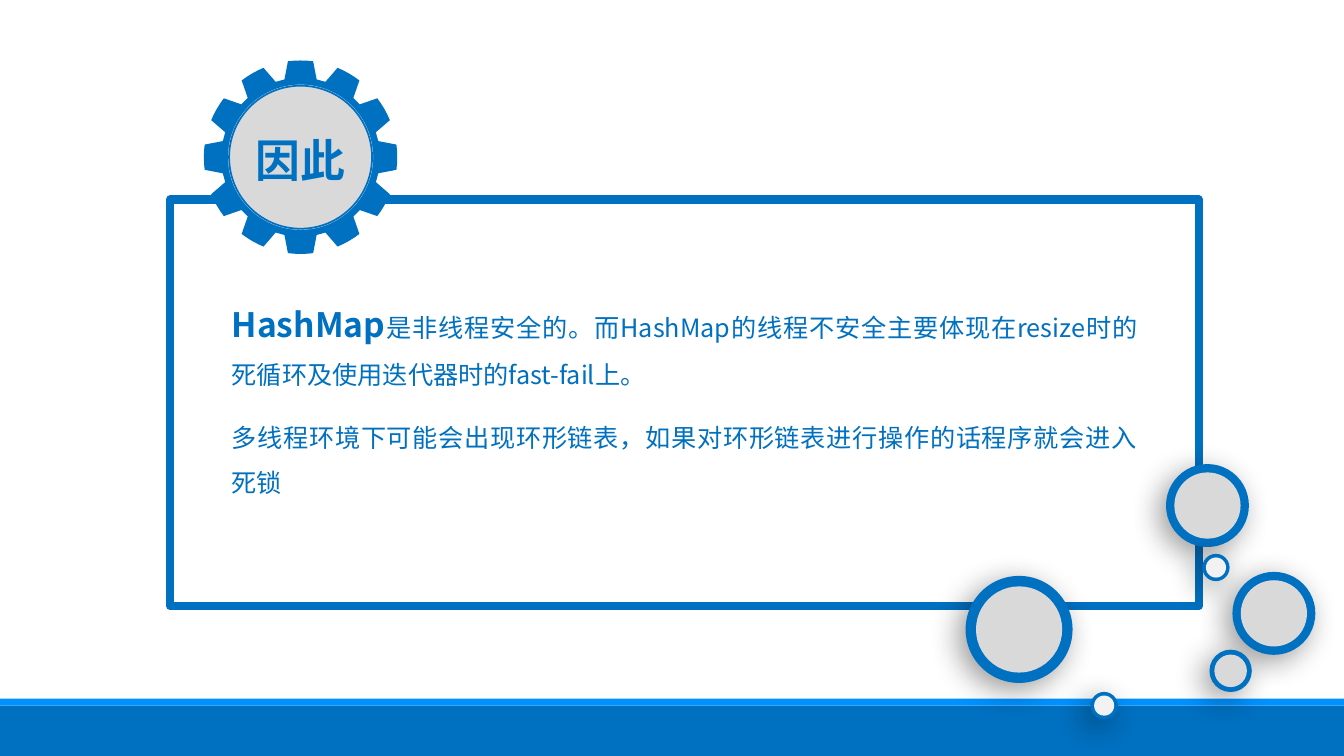
from dataclasses import dataclass
from math import cos, radians, sin

from lxml.etree import SubElement
from pptx import Presentation
from pptx.dml.color import RGBColor
from pptx.enum.shapes import MSO_SHAPE
from pptx.enum.text import MSO_ANCHOR, MSO_AUTO_SIZE, PP_ALIGN
from pptx.oxml.ns import qn
from pptx.util import Pt


@dataclass(frozen=True)
class Theme:
    blue: str = "0070C0"
    bright_blue: str = "0091FE"
    grey: str = "D9D9D9"
    pale_grey: str = "F2F2F2"
    cream: str = "FEF9F3"
    font: str = "Noto Sans CJK SC"
    title_size: int = 32
    lead_size: int = 24
    body_size: int = 18


THEME = Theme()
SLIDE_WIDTH, SLIDE_HEIGHT = 960.5, 540
GEAR_X, GEAR_Y = 214.8, 112.3
DISC_DIAMETER = 102.2

# Centre x, centre y, diameter, inner colour
BUBBLES = [
    (910.4, 438.1, 57, THEME.grey),
    (879.5, 479.2, 28, THEME.grey),
    (728.3, 449.6, 74.2, THEME.grey),
    (789.1, 504, 17.3, THEME.pale_grey),
    (862.9, 361.1, 57, THEME.grey),
    (869, 405.4, 17.3, THEME.pale_grey),
]

# Bold lead, then the rest of the paragraph
PARAGRAPHS = [
    ("HashMap", "是非线程安全的。而HashMap的线程不安全主要体现在resize时的死循环及使用迭代器时的fast-fail上。"),
    ("", "多线程环境下可能会出现环形链表，如果对环形链表进行操作的话程序就会进入死锁"),
]


def paint(shape, fill=None, line=None, line_width=1):
    shape.shadow.inherit = False
    if fill:
        shape.fill.solid()
        shape.fill.fore_color.rgb = RGBColor.from_string(fill)
    else:
        shape.fill.background()
    if line:
        shape.line.color.rgb = RGBColor.from_string(line)
        shape.line.width = Pt(line_width)
    else:
        shape.line.fill.background()


def add_rectangle(slide, left, top, width, height, **style):
    shape = slide.shapes.add_shape(
        MSO_SHAPE.RECTANGLE, Pt(left), Pt(top), Pt(width), Pt(height))
    paint(shape, **style)


def add_circle(slide, x, y, diameter, **style):
    shape = slide.shapes.add_shape(
        MSO_SHAPE.OVAL, Pt(x - diameter / 2), Pt(y - diameter / 2),
        Pt(diameter), Pt(diameter))
    paint(shape, **style)
    return shape


def add_soft_shadow(shape):
    effects = shape._element.spPr.find(qn("a:effectLst"))
    shadow = SubElement(effects, qn("a:outerShdw"), blurRad=str(Pt(22)),
                        dist=str(Pt(7)), dir=str(135 * 60000),
                        algn="tr", rotWithShape="0")
    color = SubElement(shadow, qn("a:srgbClr"), val="000000")
    SubElement(color, qn("a:alpha"), val="40000")


def add_bubble(slide, x, y, diameter, fill):
    rim = add_circle(slide, x, y, diameter,
                     fill=THEME.blue, line=THEME.blue, line_width=2.25)
    add_soft_shadow(rim)
    add_circle(slide, x, y, diameter * 0.83, fill=fill)


def add_gear(slide, teeth=12, tip_radius=69.1, base_radius=56.7):
    # Each tooth: one base point, an arc of tip points, one base point
    profile = [(-11.7, base_radius)]
    profile += [(angle, tip_radius) for angle in (-7.5, -4, 0, 4, 7.5)]
    profile += [(11.7, base_radius)]
    points = []
    for tooth in range(teeth):
        for offset, radius in profile:
            angle = radians(tooth * 360 / teeth + offset)
            points.append((Pt(GEAR_X + radius * sin(angle)),
                           Pt(GEAR_Y - radius * cos(angle))))
    builder = slide.shapes.build_freeform(*points[0])
    builder.add_line_segments(points[1:], close=True)
    paint(builder.convert_to_shape(), fill=THEME.blue)
    # Light rim and grey disc
    add_circle(slide, GEAR_X, GEAR_Y, DISC_DIAMETER,
               fill=THEME.grey, line=THEME.cream, line_width=1.5)
    add_circle(slide, GEAR_X, GEAR_Y, DISC_DIAMETER,
               fill=THEME.grey, line=THEME.blue, line_width=1.25)


def place(placeholder, left, top, width, height, inset_x, inset_y, anchor):
    placeholder.left, placeholder.top = Pt(left), Pt(top)
    placeholder.width, placeholder.height = Pt(width), Pt(height)
    frame = placeholder.text_frame
    frame.margin_left = frame.margin_right = Pt(inset_x)
    frame.margin_top = frame.margin_bottom = Pt(inset_y)
    frame.word_wrap = True
    frame.auto_size = MSO_AUTO_SIZE.NONE
    frame.vertical_anchor = anchor
    return frame


def format_paragraph(paragraph, size, alignment, bold=False):
    properties = paragraph._p.get_or_add_pPr()
    properties.set("marL", "0")
    properties.set("indent", "0")
    SubElement(properties, qn("a:buNone"))
    paragraph.alignment = alignment
    paragraph.space_before = Pt(0)
    font = paragraph.font
    font.size, font.bold, font.name = Pt(size), bold, THEME.font
    font.color.rgb = RGBColor.from_string(THEME.blue)
    SubElement(font._element, qn("a:ea"), typeface=THEME.font)


def fill_title(slide):
    title = slide.shapes.title
    frame = place(title, 156.2, 94.3, 117.4, 38.9, 0, 0, MSO_ANCHOR.MIDDLE)
    frame.text = "因此"
    format_paragraph(frame.paragraphs[0], THEME.title_size,
                     PP_ALIGN.CENTER, bold=True)
    # Bring the title in front of the gear
    slide.shapes._spTree.append(title._element)


def fill_body(slide):
    frame = place(slide.placeholders[1], 156.2, 198, 666, 163.4,
                  9.4, 5, MSO_ANCHOR.TOP)
    for index, (lead, text) in enumerate(PARAGRAPHS):
        paragraph = frame.add_paragraph() if index else frame.paragraphs[0]
        format_paragraph(paragraph, THEME.body_size, PP_ALIGN.JUSTIFY)
        paragraph.line_spacing = 1.5
        paragraph.space_after = Pt(12)
        if lead:
            run = paragraph.add_run()
            run.text = lead
            run.font.size, run.font.bold = Pt(THEME.lead_size), True
        paragraph.add_run().text = text


def main():
    presentation = Presentation()
    presentation.slide_width = Pt(SLIDE_WIDTH)
    presentation.slide_height = Pt(SLIDE_HEIGHT)
    slide = presentation.slides.add_slide(presentation.slide_layouts[1])

    # Footer bars
    add_rectangle(slide, 0, 504, SLIDE_WIDTH, 36, fill=THEME.blue)
    add_rectangle(slide, 0, 499, SLIDE_WIDTH, 5, fill=THEME.bright_blue)

    # Framed text
    add_rectangle(slide, 121.7, 142.6, 735.1, 290.2,
                  line=THEME.blue, line_width=6)
    fill_body(slide)

    # Gear with the heading
    add_gear(slide)
    fill_title(slide)

    # Bubbles
    for bubble in BUBBLES:
        add_bubble(slide, *bubble)

    presentation.save("out.pptx")


if __name__ == "__main__":
    main()
